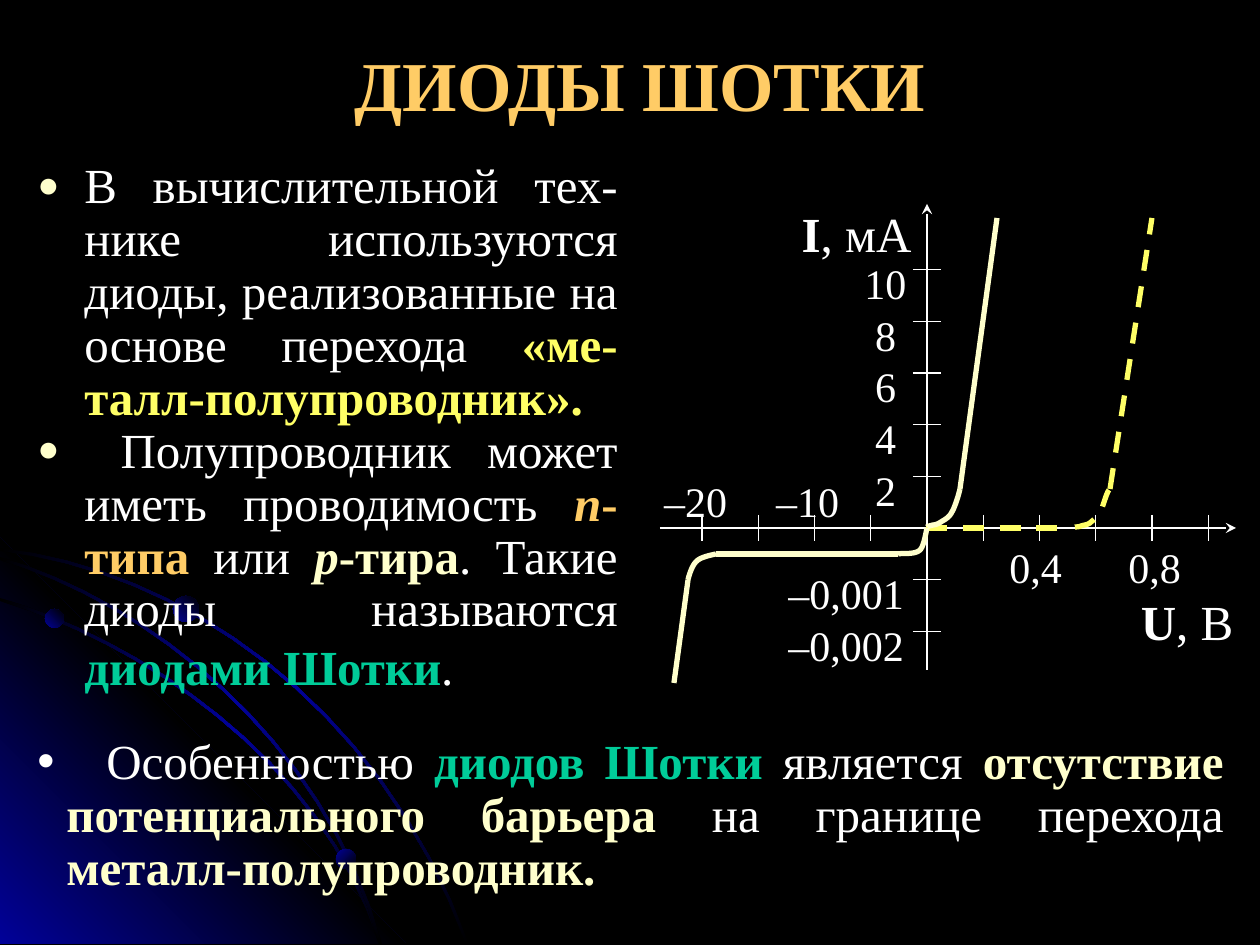
"""Build the slide on Schottky diodes with its current-voltage diagram."""
from lxml import etree
from pptx import Presentation
from pptx import util as u
from pptx.dml.color import RGBColor
from pptx.enum import dml, shapes, text
from pptx.oxml import ns

PX = 914400 / 126
FONT = "Times New Roman"
BLACK = RGBColor(0, 0, 0)
NAVY = RGBColor(0x01, 0x01, 0x99)
WHITE = RGBColor(0xFF, 0xFF, 0xFF)
CREAM = RGBColor(0xFF, 0xFF, 0xCC)
YELLOW = RGBColor(0xFF, 0xFF, 0x66)
ORANGE = RGBColor(0xFF, 0xCC, 0x66)
GREEN = RGBColor(0x00, 0xCC, 0x99)

ORIGIN_X, ORIGIN_Y = 927, 528
STEP_X, STEP_Y = 56.25, 51.7
SWOOSHES = [
    [(0, 548), (175, 568), (378, 696), (469, 944)],
    [(0, 598), (135, 638), (322, 755), (382, 944)],
    [(0, 557), (145, 600), (325, 735), (382, 944)],
]
BALLS = [(45, 609, 19, 315), (336, 849, 20, 45), (173, 596, 26, 315)]
CURRENT_LABELS = {5: "10", 4: "8", 3: "6", 2: "4", 1: "2"}
REVERSE_LABELS = {-1: "–0,001", -2: "–0,002"}
VOLTAGE_LABELS = [("0,4", 1007, 542, 57), ("0,8", 1126, 542, 57),
                  ("–10", 772, 476, 71), ("–20", 660, 476, 71)]
DIODE_PARAGRAPHS = [
    [("В вычислительной тех-нике используются диоды, реализованные на "
      "основе перехода ", WHITE, ""),
     ("«ме-талл-полупроводник».", YELLOW, "b")],
    [(" Полупроводник может иметь проводимость ", WHITE, ""),
     ("n", ORANGE, "bi"), ("-типа", ORANGE, "b"), (" или ", WHITE, ""),
     ("р", CREAM, "bi"), ("-тира", CREAM, "b"),
     (". Такие диоды называются ", WHITE, ""),
     ("диодами Шотки", GREEN, "b"), (".", WHITE, "")],
]
FEATURE = [
    ("\tОсобенностью ", WHITE, ""), ("диодов Шотки", GREEN, "b"),
    (" является ", WHITE, ""),
    ("отсутствие потенциального барьера", CREAM, "b"),
    (" на границе перехода ", WHITE, ""),
    ("металл-полупроводник.", CREAM, "b"),
]


def px(length):
    """Turn pixels into EMU."""
    return u.Emu(round(length * PX))


def child(parent, tag, **attributes):
    """Append a drawing element to a parent."""
    return etree.SubElement(parent, ns.qn("a:" + tag), attributes)


def bezier(points, steps=16):
    """Sample a chain of cubic segments."""
    samples = [points[0]]
    for start in range(0, len(points) - 1, 3):
        segment = points[start:start + 4]
        for step in range(1, steps + 1):
            t = step / steps
            weights = ((1 - t) ** 3, 3 * t * (1 - t) ** 2,
                       3 * t * t * (1 - t), t ** 3)
            samples.append(tuple(sum(w * p[axis] for w, p in zip(weights, segment))
                                 for axis in (0, 1)))
    return samples


def add_outline(slide, points, close):
    """Add a freeform through points."""
    spots = [(px(x), px(y)) for x, y in points]
    builder = slide.shapes.build_freeform(*spots[0])
    builder.add_line_segments(spots[1:], close=close)
    shape = builder.convert_to_shape()
    shape.shadow.inherit = False
    return shape


def fill_gradient(shape, colors, angle):
    """Fill a shape with evenly spaced gradient stops and no line."""
    shape.shadow.inherit = False
    shape.line.fill.background()
    shape.fill.gradient()
    gradient = shape.element.spPr.find(ns.qn("a:gradFill"))
    for part in list(gradient):
        gradient.remove(part)
    stops = child(gradient, "gsLst")
    for index, color in enumerate(colors):
        position = 100000 * index // (len(colors) - 1)
        child(child(stops, "gs", pos=str(position)), "srgbClr", val=str(color))
    child(gradient, "lin", ang=str(angle * 60000), scaled="1")


def style_line(line, color, width, dashed=False):
    """Set the colour, width and dash of a line."""
    line.color.rgb = color
    line.width = u.Pt(width)
    if dashed:
        line.dash_style = dml.MSO_LINE.DASH


def add_line(slide, x1, y1, x2, y2, color=WHITE, width=0.75, dashed=False,
             arrow=False):
    """Add a straight line, with an arrowhead if wanted."""
    line = slide.shapes.add_connector(shapes.MSO_CONNECTOR.STRAIGHT,
                                      px(x1), px(y1), px(x2), px(y2))
    style_line(line.line, color, width, dashed)
    if arrow:
        child(line.line._get_or_add_ln(), "tailEnd", type="stealth")
    child(line.element.spPr, "effectLst")


def add_curve(slide, points, color, dashed=False):
    """Add an open smooth curve."""
    shape = add_outline(slide, bezier(points), False)
    shape.fill.background()
    style_line(shape.line, color, 3, dashed)


def add_span(para, words, color, style, size):
    """Add one run of text."""
    span = para.add_run()
    span.text = words
    font = span.font
    font.name, font.size = FONT, u.Pt(size)
    font.bold, font.italic = "b" in style, "i" in style
    font.color.rgb = color
    return span


def add_label(slide, spans, left, top, width, height=39, size=24):
    """Add a centred label without insets."""
    box = slide.shapes.add_textbox(px(left), px(top), px(width), px(height))
    frame = box.text_frame
    frame.word_wrap = True
    frame.margin_left = frame.margin_right = 0
    frame.margin_top = frame.margin_bottom = 0
    para = frame.paragraphs[0]
    para.alignment = text.PP_ALIGN.CENTER
    for words, style in spans:
        add_span(para, words, WHITE, style, size)


def add_bullets(slide, place, paragraphs, mark, color, scale, indent, tab=None):
    """Add a box of justified bullet paragraphs."""
    box = slide.shapes.add_textbox(*map(px, place))
    frame = box.text_frame
    frame.word_wrap = True
    for index, spans in enumerate(paragraphs):
        para = frame.add_paragraph() if index else frame.paragraphs[0]
        para.alignment = text.PP_ALIGN.JUSTIFY
        para.line_spacing = 0.9
        props = para._p.get_or_add_pPr()
        props.set("marL", str(px(indent)))
        props.set("indent", str(-px(indent)))
        child(child(props, "buClr"), "srgbClr", val=str(color))
        child(props, "buSzPct", val=str(scale * 1000))
        child(props, "buFont", typeface="Arial")
        child(props, "buChar", char=mark)
        if tab:
            child(child(props, "tabLst"), "tab", pos=str(px(tab)), algn="l")
        for words, tint, style in spans:
            add_span(para, words, tint, style, 28)
    return frame


def add_backdrop(slide):
    """Add the blue corner, the arcs and the balls."""
    corner = add_outline(slide, [(0, 538), (406, 944), (0, 944)], True)
    fill_gradient(corner, (NAVY, BLACK, NAVY), 315)
    for upper in SWOOSHES:
        start, *bends, end = upper
        lower = [(start[0], start[1] + 3), *[(x - 2, y + 2) for x, y in bends],
                 (end[0] - 3, end[1])]
        band = add_outline(slide, bezier(upper) + bezier(lower)[::-1], True)
        fill_gradient(band, (BLACK, NAVY, BLACK), 45)
    for left, top, size, angle in BALLS:
        ball = slide.shapes.add_shape(shapes.MSO_SHAPE.OVAL, px(left), px(top),
                                      px(size), px(size))
        fill_gradient(ball, (NAVY, BLACK), angle)


def add_axes(slide):
    """Add the axes with their ticks and labels."""
    add_line(slide, ORIGIN_X, 670, ORIGIN_X, 204, arrow=True)
    add_line(slide, 660, ORIGIN_Y, 1236, ORIGIN_Y, arrow=True)
    for step in (-4, -3, -2, -1, 1, 2, 3, 4, 5):
        x = ORIGIN_X + step * STEP_X
        add_line(slide, x, ORIGIN_Y - 13, x, ORIGIN_Y + 13)
    for labels, left, width in ((CURRENT_LABELS, 857, 57),
                                (REVERSE_LABELS, 779, 134)):
        for step, words in labels.items():
            y = ORIGIN_Y - step * STEP_Y
            add_line(slide, ORIGIN_X - 14, y, ORIGIN_X + 14, y)
            add_label(slide, [(words, "")], left, y - 12, width)
    for words, left, top, width in VOLTAGE_LABELS:
        add_label(slide, [(words, "")], left, top, width)
    add_label(slide, [("I", "b"), (", мА", "")], 799, 204, 115, 52, 28)
    add_label(slide, [("U", "b"), (", В", "")], 1138, 592, 98, 39, 28)


def add_characteristics(slide):
    """Add the solid and the dashed diode curves."""
    add_line(slide, 926, 528, 1067, 528, YELLOW, 3, True)
    add_curve(slide, [(1075, 527), (1076, 527), (1079, 527), (1081, 526),
                      (1084, 525), (1087, 525), (1090, 523), (1093, 520),
                      (1097, 518), (1100, 513), (1103, 507), (1106, 494),
                      (1109, 490)], YELLOW, True)
    add_line(slide, 1110, 489, 1152, 218, YELLOW, 3, True)
    add_line(slide, 716, 554, 898, 554, CREAM, 3)
    add_curve(slide, [(927, 528), (926, 532), (924, 546), (920, 550),
                      (915, 555), (902, 553), (898, 554)], CREAM)
    add_curve(slide, [(716, 554), (712, 555), (701, 557), (697, 561),
                      (692, 565), (689, 576), (688, 580)], CREAM)
    add_line(slide, 688, 580, 674, 683, CREAM, 3)
    add_curve(slide, [(927, 527), (928, 526), (930, 526), (933, 525),
                      (935, 525), (938, 524), (941, 522), (944, 520),
                      (949, 518), (952, 512), (955, 507), (959, 494),
                      (960, 489)], CREAM)
    add_line(slide, 960, 489, 997, 218, CREAM, 3)


def add_title(slide):
    """Place and format the title."""
    title = slide.shapes.title
    title.left, title.top, title.width, title.height = map(px, (74, 35, 1132, 97))
    frame = title.text_frame
    frame.auto_size = text.MSO_AUTO_SIZE.NONE
    frame.vertical_anchor = text.MSO_ANCHOR.BOTTOM
    para = frame.paragraphs[0]
    para.alignment = text.PP_ALIGN.CENTER
    add_span(para, "ДИОДЫ ШОТКИ", ORANGE, "b", 40)


def main():
    """Build and save the deck."""
    deck = Presentation()
    deck.slide_width, deck.slide_height = u.Inches(10), u.Inches(7.5)
    page = deck.slides.add_slide(deck.slide_layouts[5])
    page.background.fill.solid()
    page.background.fill.fore_color.rgb = BLACK
    add_backdrop(page)
    frame = add_bullets(page, (25, 155, 605, 556), DIODE_PARAGRAPHS, "●", CREAM,
                        75, 47)
    add_span(frame.paragraphs[-1], " ", WHITE, "", 32).font.name = "Arial"
    add_axes(page)
    add_characteristics(page)
    add_bullets(page, (25, 731, 1211, 171), [FEATURE], "•", WHITE, 100, 29, 69)
    add_title(page)
    deck.save("out.pptx")


if __name__ == "__main__":
    main()
